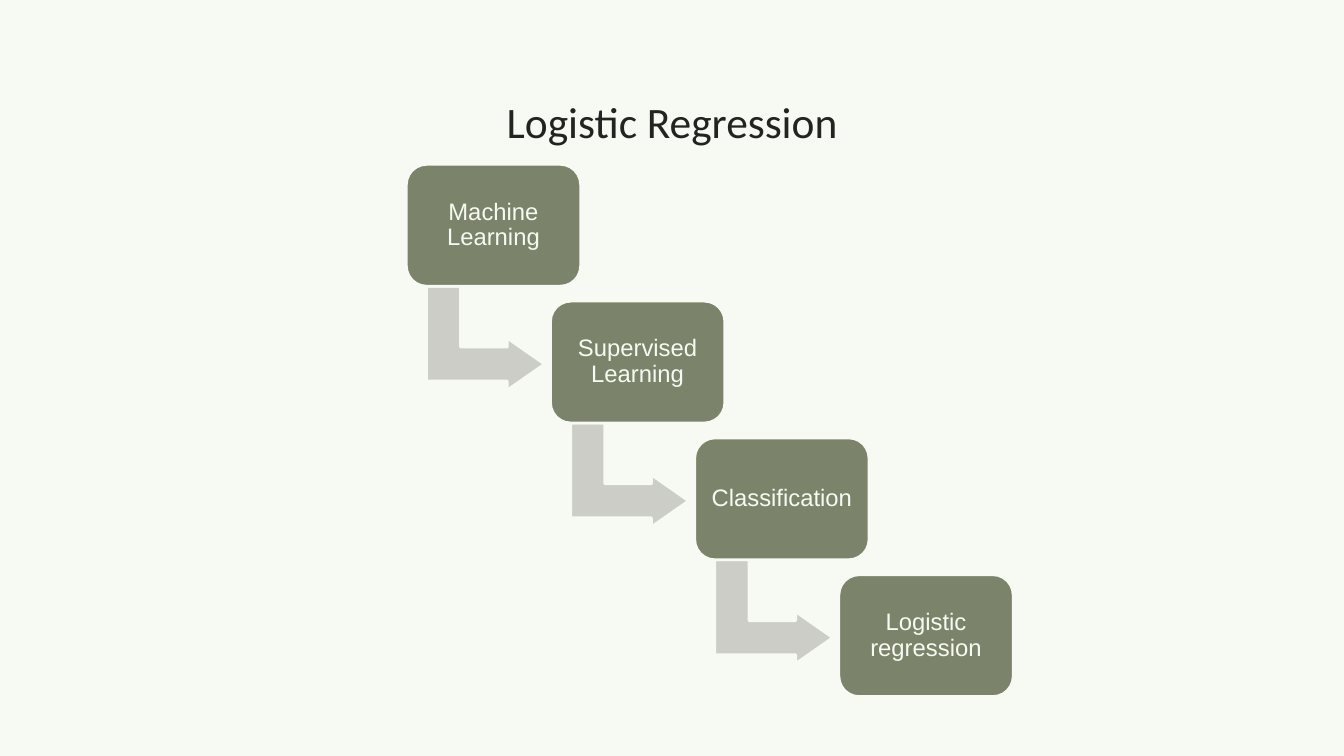
from dataclasses import dataclass

from pptx import Presentation, util as u
from pptx.dml import color
from pptx.enum import shapes, text

SLIDE_W, SLIDE_H = 13.33, 7.5
PAPER, INK, OLIVE, GREY = "F7FAF2", "232322", "7C836B", "CCCDC7"

# Staircase grid: each step moves one column right and one row down
LEFT, TOP = 4.03, 1.63
COLUMN, ROW = 1.43, 1.357
BOX_W, BOX_H = 1.73, 1.21
ARROW_DX, ARROW_DY = 0.27, 1.14
ARROW_W, ARROW_H = 1.03, 1.17


@dataclass
class Step:
    label: str
    index: int

    @property
    def left(self) -> float:
        return LEFT + self.index * COLUMN

    @property
    def top(self) -> float:
        return TOP + self.index * ROW


LABELS = ["Machine Learning", "Supervised Learning", "Classification", "Logistic regression"]
STEPS = [Step(label, index) for index, label in enumerate(LABELS)]


def rgb(value: str) -> color.RGBColor:
    return color.RGBColor.from_string(value)


def write(holder, words: str, *, size: float, font: str, ink: str,
          inset: float, spacing: float = 1.0) -> None:
    frame = holder.text_frame
    frame.word_wrap = True
    frame.auto_size = text.MSO_AUTO_SIZE.NONE
    frame.vertical_anchor = text.MSO_ANCHOR.MIDDLE
    frame.margin_left = frame.margin_right = u.Inches(inset)
    frame.margin_top = frame.margin_bottom = u.Inches(inset)
    paragraph = frame.paragraphs[0]
    paragraph.alignment = text.PP_ALIGN.CENTER
    paragraph.line_spacing = spacing
    run = paragraph.add_run()
    run.text = words
    run.font.size = u.Pt(size)
    run.font.name = font
    run.font.color.rgb = rgb(ink)


def add_block(group, kind, left: float, top: float, width: float, height: float,
              fill: str, adjustments: list[float]):
    block = group.shapes.add_shape(kind, *map(u.Inches, (left, top, width, height)))
    block.shadow.inherit = False
    block.fill.solid()
    block.fill.fore_color.rgb = rgb(fill)
    block.line.color.rgb = rgb(PAPER)
    block.line.width = u.Pt(2)
    for position, value in enumerate(adjustments):
        block.adjustments[position] = value
    return block


def draw_step(group, step: Step, has_next: bool) -> None:
    # Arrow down and across to the next step
    if has_next:
        arrow = add_block(group, shapes.MSO_SHAPE.BENT_UP_ARROW,
                          step.left + ARROW_DX, step.top + ARROW_DY,
                          ARROW_W, ARROW_H, GREY, [0.328, 0.25, 0.358])
        arrow.rotation = 90
    # Labelled box
    box = add_block(group, shapes.MSO_SHAPE.ROUNDED_RECTANGLE, step.left, step.top,
                    BOX_W, BOX_H, OLIVE, [0.167])
    write(box, step.label, size=17, font="Arial", ink=PAPER, inset=0.08, spacing=0.9)


def main() -> None:
    deck = Presentation()
    deck.slide_width, deck.slide_height = u.Inches(SLIDE_W), u.Inches(SLIDE_H)
    slide = deck.slides.add_slide(deck.slide_layouts[5])
    slide.background.fill.solid()
    slide.background.fill.fore_color.rgb = rgb(PAPER)

    # Title
    title = slide.shapes.title
    title.left, title.top = u.Inches(1.05), u.Inches(0.79)
    title.width, title.height = u.Inches(11.23), u.Inches(0.82)
    write(title, "Logistic Regression", size=31, font="Calibri", ink=INK, inset=0.1)

    # Staircase from the broad field to the method
    staircase = slide.shapes.add_group_shape()
    for step in STEPS:
        draw_step(staircase, step, has_next=step is not STEPS[-1])

    deck.save("out.pptx")


if __name__ == "__main__":
    main()
